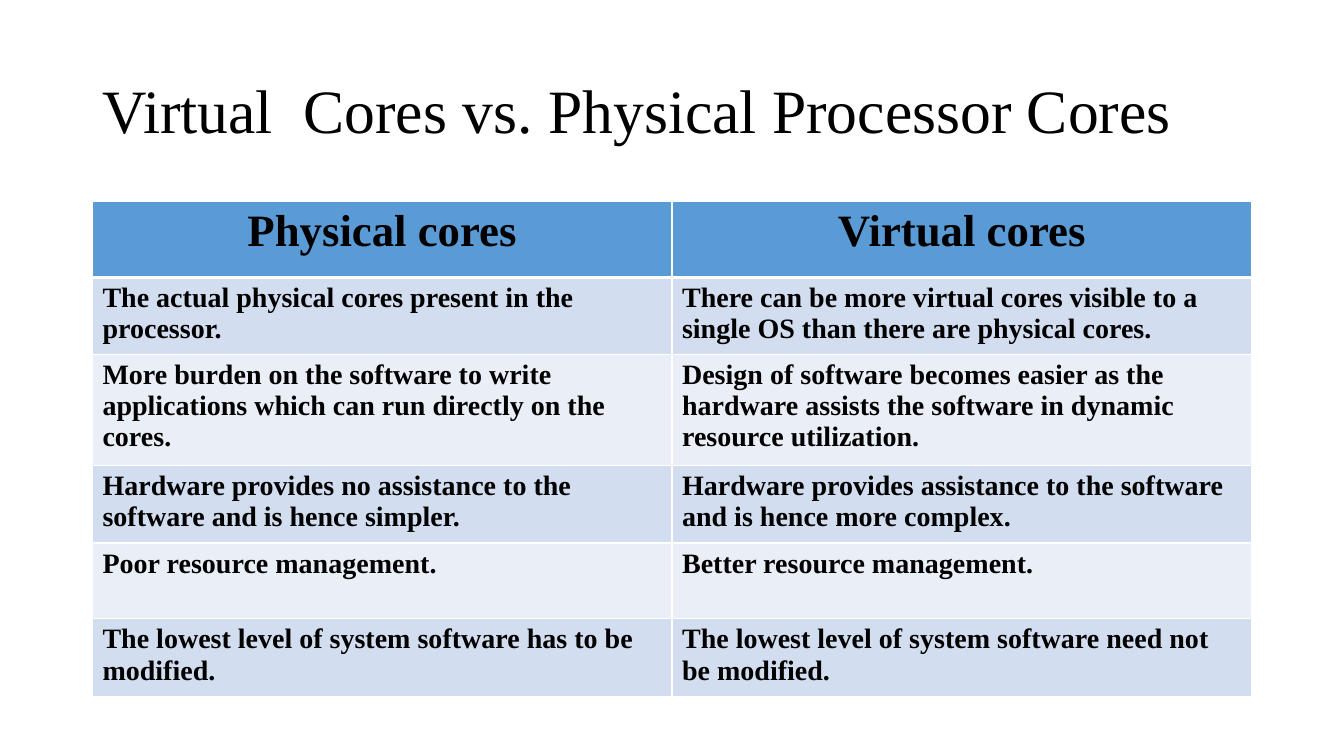
import lxml.etree
import pptx
import pptx.dml.color
import pptx.enum.text
import pptx.oxml.ns
import pptx.util

Cm = pptx.util.Cm
Pt = pptx.util.Pt
PP_ALIGN = pptx.enum.text.PP_ALIGN


def paint(target, color):
    """Give a font or a fill a solid colour from a hex string."""
    fill = target.fill
    fill.solid()
    fill.fore_color.rgb = pptx.dml.color.RGBColor.from_string(color)


def write(frame, text, size, bold=False, align=PP_ALIGN.LEFT, spacing=1.0):
    paragraph = frame.paragraphs[0]
    paragraph.alignment = align
    paragraph.line_spacing = spacing
    run = paragraph.add_run()
    run.text = text
    run.font.name = "Times New Roman"
    run.font.size = Pt(size)
    run.font.bold = bold
    paint(run.font, "000000")


comparison = [
    ("Physical cores", "Virtual cores"),
    ("The actual physical cores present in the processor.",
     "There can be more virtual cores visible to a single OS than there are physical cores."),
    ("More burden on the software to write applications which can run directly on the cores.",
     "Design of software becomes easier as the hardware assists the software in dynamic "
     "resource utilization."),
    ("Hardware provides no assistance to the software and is hence simpler.",
     "Hardware provides assistance to the software and is hence more complex."),
    ("Poor resource management.", "Better resource management."),
    ("The lowest level of system software has to be modified.",
     "The lowest level of system software need not be modified."),
]
HEADER_COLOR = "5B9BD5"
BAND_COLORS = ("EAEFF7", "D2DEEF")
LEFT, WIDTH, ROW_HEIGHT = Cm(2.33), Cm(29.21), Cm(1.91)

presentation = pptx.Presentation()
presentation.slide_width = Cm(33.87)
presentation.slide_height = Cm(19.05)
slide = presentation.slides.add_slide(presentation.slide_layouts[6])

title = slide.shapes.add_textbox(LEFT, Cm(1.01), WIDTH, Cm(3.68)).text_frame
title.word_wrap = True
title.vertical_anchor = pptx.enum.text.MSO_ANCHOR.MIDDLE
write(title, "Virtual  Cores vs. Physical Processor Cores", 44, spacing=0.9)

table = slide.shapes.add_table(
    len(comparison), 2, LEFT, Cm(5.08), WIDTH, ROW_HEIGHT * len(comparison)).table

for row, texts in enumerate(comparison):
    table.rows[row].height = ROW_HEIGHT
    is_header = row == 0
    border_widths = {"lnL": 1, "lnR": 1, "lnT": 3 if row == 1 else 1, "lnB": 3 if is_header else 1}
    for column, text in enumerate(texts):
        cell = table.cell(row, column)
        cell_properties = cell._tc.get_or_add_tcPr()
        for side, width in border_widths.items():
            border = lxml.etree.SubElement(
                cell_properties, pptx.oxml.ns.qn(f"a:{side}"), w=str(Pt(width)))
            line_fill = lxml.etree.SubElement(border, pptx.oxml.ns.qn("a:solidFill"))
            lxml.etree.SubElement(line_fill, pptx.oxml.ns.qn("a:srgbClr"), val="FFFFFF")
        paint(cell, HEADER_COLOR if is_header else BAND_COLORS[row % 2])
        write(cell.text_frame, text, 32 if is_header else 20, bold=True,
              align=PP_ALIGN.CENTER if is_header else PP_ALIGN.LEFT)

presentation.save("out.pptx")
